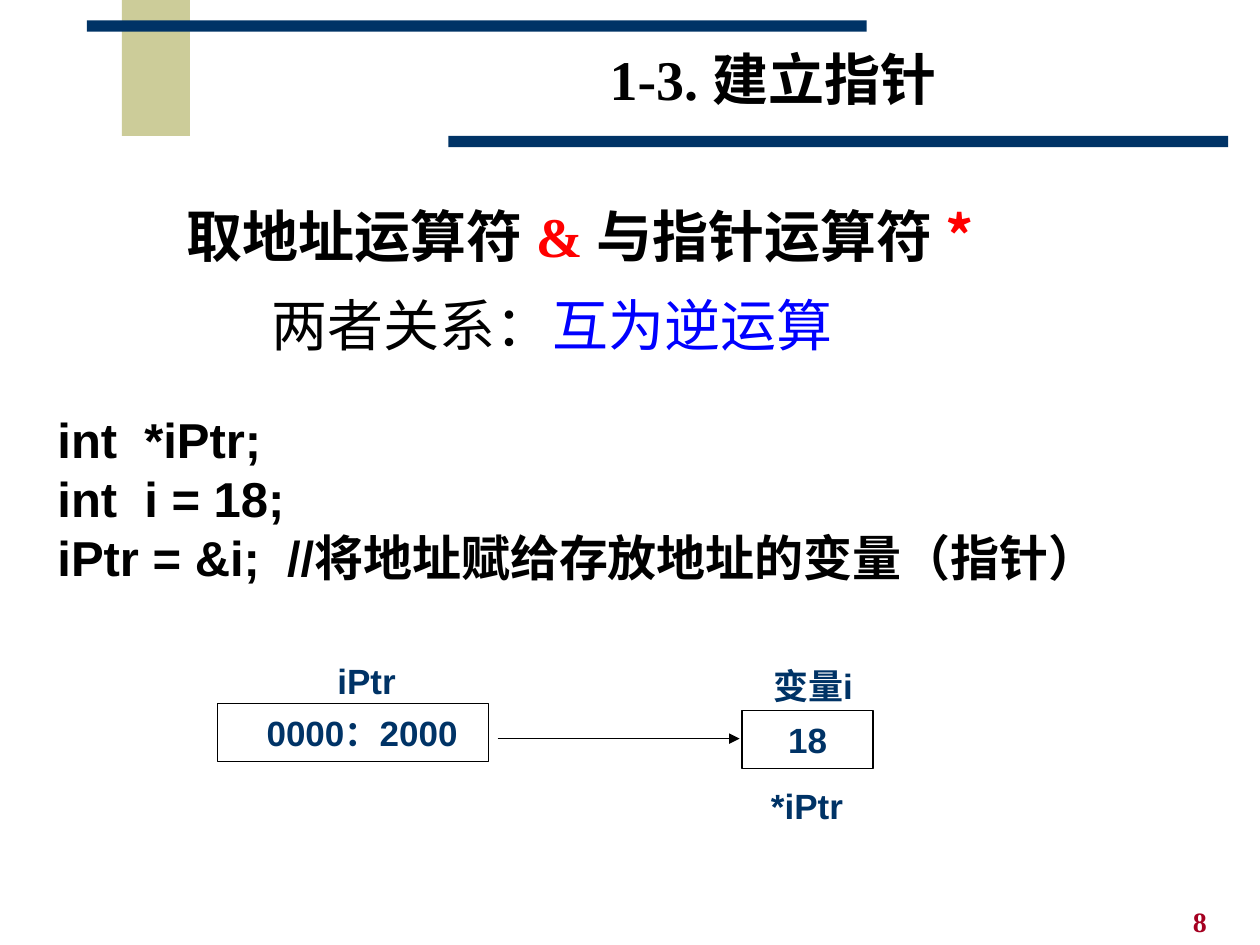
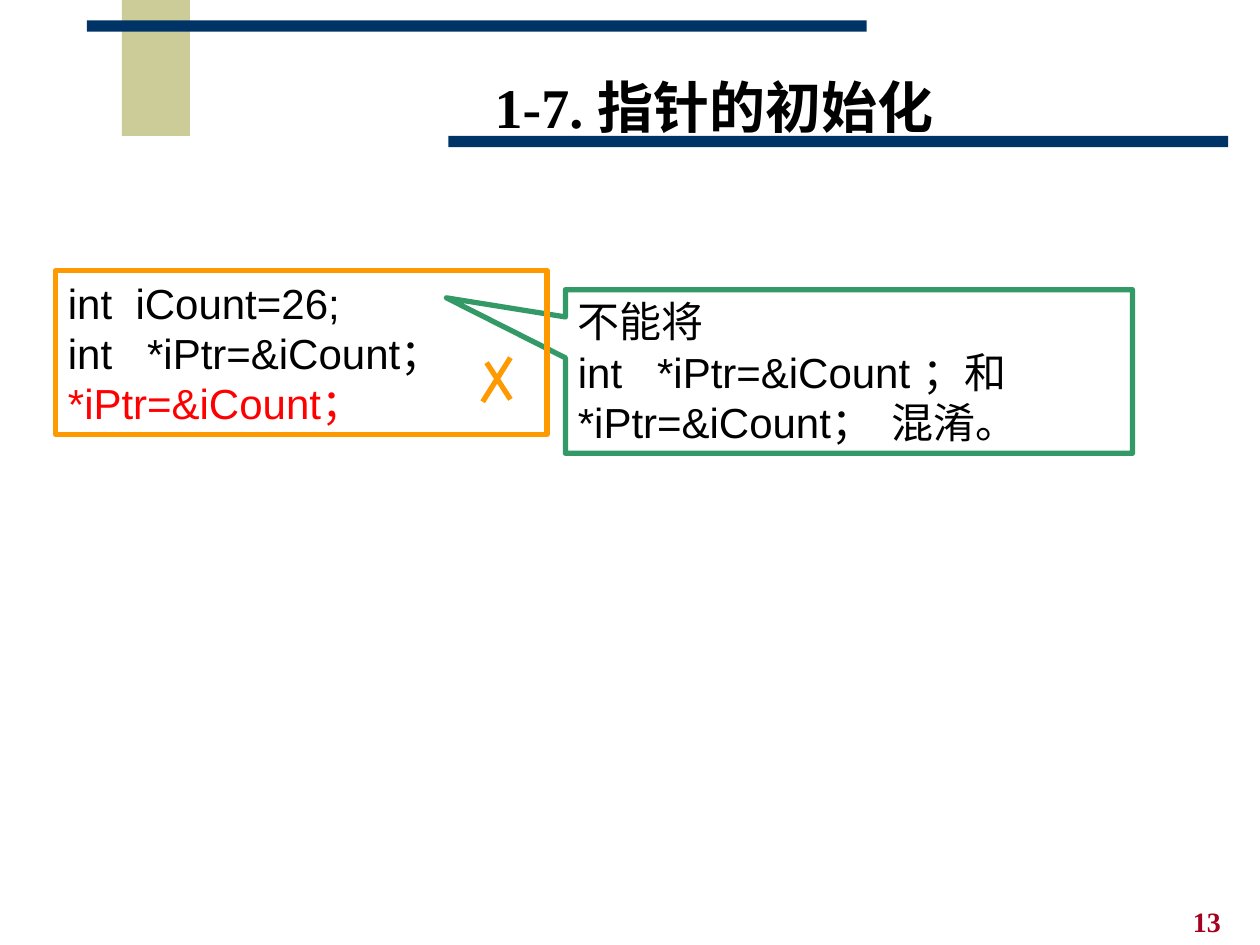
"""Builds two slides on pointers."""
from pptx import Presentation
from pptx.dml.color import RGBColor
from pptx.enum.shapes import MSO_CONNECTOR, MSO_SHAPE
from pptx.enum.text import MSO_ANCHOR, PP_ALIGN
from pptx.oxml.ns import qn
from pptx.util import Cm, Pt
from lxml.etree import SubElement

BLACK = RGBColor(0x00, 0x00, 0x00)
WHITE = RGBColor(0xFF, 0xFF, 0xFF)
NAVY = RGBColor(0x00, 0x33, 0x66)
SAND = RGBColor(0xCC, 0xCC, 0x99)
WINE = RGBColor(0xA5, 0x00, 0x21)
RED = RGBColor(0xFF, 0x00, 0x00)
BLUE = RGBColor(0x00, 0x00, 0xFF)
GREEN = RGBColor(0x33, 0x99, 0x66)
AMBER = RGBColor(0xFF, 0x99, 0x00)

SANS = "Arial"
SERIF = "Times New Roman"
CJK = "Noto Sans CJK KR"


def say(shape, lines, size, face=SANS, bold=False, align=PP_ALIGN.LEFT,
        anchor=MSO_ANCHOR.MIDDLE, wrap=True, pitch=None):
    """Fill a shape with lines, each a list of (text, colour[, face]) runs."""
    frame = shape.text_frame
    frame.word_wrap = wrap
    frame.vertical_anchor = anchor
    for i, line in enumerate(lines):
        para = frame.add_paragraph() if i else frame.paragraphs[0]
        para.alignment = align
        para.line_spacing = pitch
        for text, color, *own in line:
            run = para.add_run()
            run.text = text
            font = run.font
            font.name = own[0] if own else face
            font.size = Pt(size)
            font.bold = bold
            font.color.rgb = color


def add_text(slide, box, lines, size, **style):
    """Add a text box at box, in centimetres."""
    shape = slide.shapes.add_textbox(*map(Cm, box))
    say(shape, lines, size, **style)
    return shape


def add_box(slide, box, fill=None, line=None, width=0.75, kind=MSO_SHAPE.RECTANGLE):
    """Add a flat preset shape with optional fill and outline."""
    shape = slide.shapes.add_shape(kind, *map(Cm, box))
    shape.shadow.inherit = False
    if fill is None:
        shape.fill.background()
    else:
        shape.fill.solid()
        shape.fill.fore_color.rgb = fill
    if line is None:
        shape.line.fill.background()
    else:
        shape.line.color.rgb = line
        shape.line.width = Pt(width)
    return shape


def add_line(slide, ends, color, width, arrow=False):
    """Add a straight line, with an arrowhead at its end if asked."""
    link = slide.shapes.add_connector(MSO_CONNECTOR.STRAIGHT, *map(Cm, ends))
    link.line.color.rgb = color
    link.line.width = Pt(width)
    if arrow:
        SubElement(link.line._get_or_add_ln(), qn("a:tailEnd"), type="triangle")
    SubElement(link._element.spPr, qn("a:effectLst"))


def start(deck, title, box, number):
    """Add a slide with its bands, title and page number."""
    slide = deck.slides.add_slide(deck.slide_layouts[5])
    add_box(slide, (2.46, 0, 1.37, 2.74), SAND)
    for left, top in ((1.75, 0.41), (9.04, 2.74)):
        add_box(slide, (left, top, 15.72, 0.23), NAVY)
    add_text(slide, (23.8, 18.11, 1.6, 0.94), [[(number, WINE)]], 16,
             face=SERIF, bold=True, anchor=MSO_ANCHOR.TOP)
    head = slide.shapes.title
    head.left, head.top, head.width, head.height = map(Cm, box)
    say(head, [[(title, BLACK)]], 32, face=SERIF, bold=True,
        align=PP_ALIGN.CENTER, pitch=0.85)
    return slide


def add_intro(slide, left, top):
    """Name the two operators and how they relate."""
    add_text(slide, (left, top, 17, 1.6),
             [[("取地址运算符 ", BLACK), ("& ", RED),
               ("与指针运算符 ", BLACK), ("*", RED, CJK)]],
             32, face=SERIF, bold=True, align=PP_ALIGN.CENTER, pitch=0.85)
    note = add_text(slide, (left + 0.76, top + 1.7, 15.5, 1.45),
                    [[("两者关系：", BLACK), ("互为逆运算", BLUE)]],
                    32, anchor=MSO_ANCHOR.TOP)
    note.text_frame.margin_left = Cm(1.52)


def add_memory(slide, left, top):
    """Draw the pointer cell, the variable cell and the arrow between."""
    cells = ((0, 1.02, 5.46, 1.17), (10.57, 1.17, 2.64, 1.17))
    labels = (
        ("iPtr", (2.16, 0, 1.68, 1.12), False),
        ("0000：2000", (0.36, 1.04, 5.1, 1.12), True),
        ("变量i", (9.75, 0.1, 4.5, 1.12), True),
        ("18", cells[1], False),
        ("*iPtr", (10.9, 2.51, 1.96, 1.12), False),
    )
    for x, y, *size in cells:
        add_box(slide, (left + x, top + y, *size), WHITE, BLACK)
    for text, (x, y, *size), wrap in labels:
        add_text(slide, (left + x, top + y, *size), [[(text, NAVY)]], 20,
                 bold=True, align=PP_ALIGN.CENTER, wrap=wrap)
    level = top + 1.73
    add_line(slide, (left + 10.03 - 4.39, level, left + 10.52, level),
             BLACK, 0.75, arrow=True)


def add_error(slide, left, top):
    """Show the wrong code with its cross and the warning callout."""
    warn = add_box(slide, (left + 10.28, top + 0.38, 11.43, 3.3), WHITE, GREEN, 3,
                   MSO_SHAPE.RECTANGULAR_CALLOUT)
    warn.adjustments[0] = -0.71
    warn.adjustments[1] = -0.45
    say(warn, [[("不能将", BLACK)],
               [("int   *iPtr=&iCount ；和", BLACK)],
               [("*iPtr=&iCount；  混淆。", BLACK)]], 24)
    code = add_box(slide, (left, top, 9.91, 3.3), line=AMBER, width=3)
    say(code, [[("int  iCount=26;", BLACK)],
               [("int   *iPtr=&iCount；", BLACK)],
               [("*iPtr=&iCount；", RED)]], 24)
    for x, y, end, base in ((9.17, 1.75, 8.61, 2.64), (8.69, 1.85, 9.17, 2.59)):
        add_line(slide, (left + x, top + y, left + end, top + base), AMBER, 3)


def main():
    """Build and save the deck."""
    deck = Presentation()
    deck.slide_width, deck.slide_height = Cm(25.4), Cm(19.05)

    slide = start(deck, "1-3. 建立指针", (8.41, 0.81, 14.35, 1.75), "8")
    add_intro(slide, 3.2, 4.04)
    code = ("int  *iPtr;", "int  i = 18;",
            "iPtr = &i;  //将地址赋给存放地址的变量（指针）")
    add_text(slide, (0.91, 8.13, 21.7, 3.81), [[(line, BLACK)] for line in code],
             28, bold=True, anchor=MSO_ANCHOR.TOP, wrap=False)
    add_memory(slide, 4.39, 13.16)

    slide = start(deck, "1-7. 指针的初始化", (6.4, 1.45, 16, 1.6), "13")
    add_error(slide, 1.12, 5.46)
    deck.save("out.pptx")


if __name__ == "__main__":
    main()
